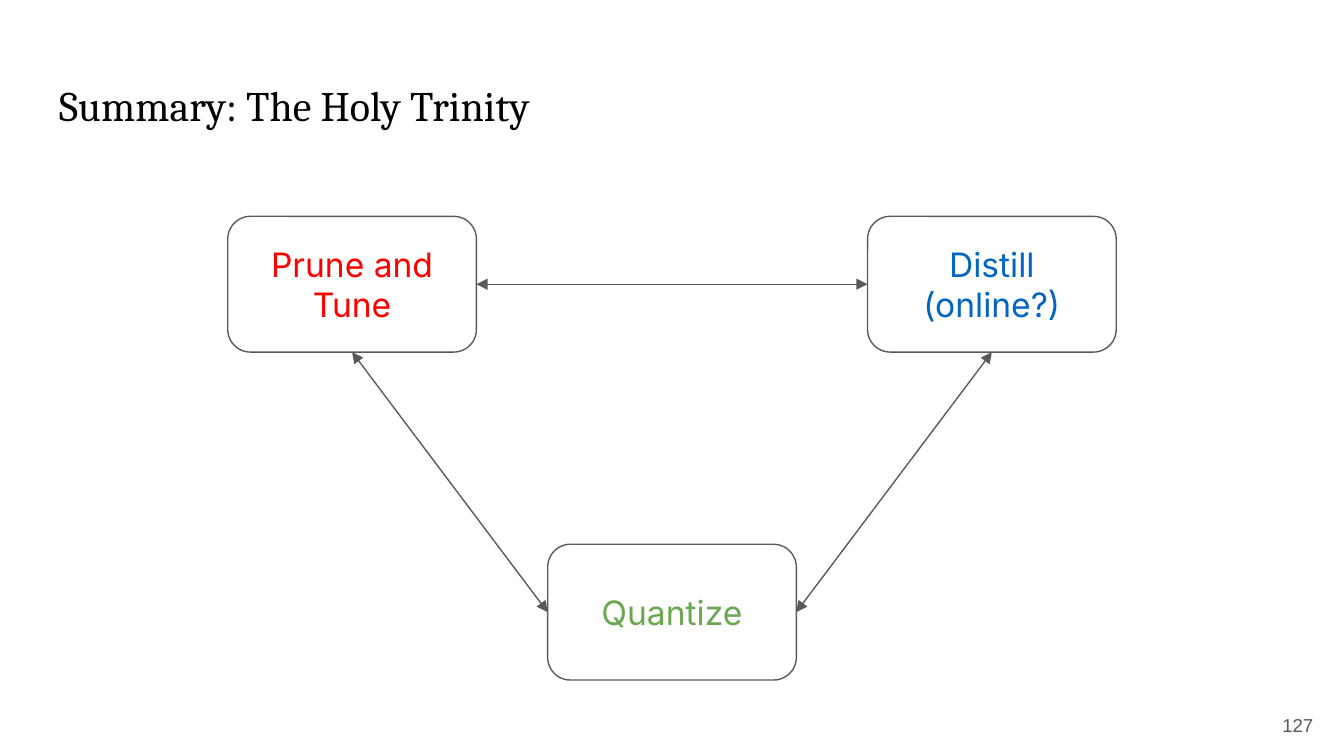
"""Build a slide showing three linked compression methods in a triangle."""
from pptx import Presentation
from pptx.dml.color import RGBColor
from pptx.enum.shapes import MSO_CONNECTOR as Link, MSO_SHAPE as Shape
from pptx.enum.text import MSO_ANCHOR as Anchor, MSO_AUTO_SIZE as Auto, PP_ALIGN as Align
from pptx.oxml.ns import qn
from pptx.util import Inches, Pt
from lxml.etree import SubElement

HUES = {"black": "000000", "white": "FFFFFF", "gray": "595959",
        "red": "FF0000", "green": "6AA84F", "blue": "0365C0"}
TITLE = "Summary: The Holy Trinity"
PAGE = "127"
NODES = {
    "prune": (["Prune and Tune"], "red", -1, 0),
    "quant": (["Quantize"], "green", 0, 1),
    "distill": (["Distill", "(online?)"], "blue", 1, 0),
}
TOP, LEFT, BOTTOM, RIGHT = range(4)
LINKS = [
    ("prune", BOTTOM, "quant", LEFT),
    ("prune", RIGHT, "distill", LEFT),
    ("distill", BOTTOM, "quant", RIGHT),
]
WIDE = 10
HIGH = WIDE * 9 / 16
BOX_W, BOX_H = 1.85, 1.01
STEP_X, STEP_Y, START_Y = 2.38, 2.44, 1.61


def color(name):
    return RGBColor.from_string(HUES[name])


def write(shape, lines, font, size, hue, align, anchor):
    frame = shape.text_frame
    frame.word_wrap = True
    frame.auto_size = Auto.NONE
    frame.vertical_anchor = anchor
    frame.margin_left = frame.margin_right = Inches(0.1)
    frame.margin_top = frame.margin_bottom = Inches(0.1)
    for i, line in enumerate(lines):
        para = frame.add_paragraph() if i else frame.paragraphs[0]
        para.alignment = align
        run = para.add_run()
        run.text = line
        run.font.name = font
        run.font.size = Pt(size)
        run.font.color.rgb = color(hue)


def outline(shape):
    shape.line.color.rgb = color("gray")
    shape.line.width = Pt(0.75)


def add_node(slide, lines, hue, col, row):
    x = (WIDE - BOX_W) / 2 + col * STEP_X
    y = START_Y + row * STEP_Y
    box = slide.shapes.add_shape(Shape.ROUNDED_RECTANGLE, Inches(x), Inches(y),
                                 Inches(BOX_W), Inches(BOX_H))
    box.shadow.inherit = False
    box.fill.solid()
    box.fill.fore_color.rgb = color("white")
    outline(box)
    write(box, lines, "Inter", 18, hue, Align.CENTER, Anchor.MIDDLE)
    return box


def add_link(slide, start, out, end, into):
    link = slide.shapes.add_connector(Link.STRAIGHT, 0, 0, 0, 0)
    link.begin_connect(start, out)
    link.end_connect(end, into)
    outline(link)
    for tag in ("a:headEnd", "a:tailEnd"):
        SubElement(link.line._ln, qn(tag), type="triangle")
    SubElement(link._element.spPr, qn("a:effectLst"))


def main():
    deck = Presentation()
    deck.slide_width, deck.slide_height = Inches(WIDE), Inches(HIGH)
    slide = deck.slides.add_slide(deck.slide_layouts[5])
    title = slide.shapes.title
    title.left, title.top = Inches(0.34), Inches(0.49)
    title.width, title.height = Inches(9.32), Inches(0.63)
    write(title, [TITLE], "Cambria", 22.5, "black", Align.LEFT, Anchor.TOP)
    boxes = {key: add_node(slide, *node) for key, node in NODES.items()}
    for start, out, end, into in LINKS:
        add_link(slide, boxes[start], out, boxes[end], into)
    page = slide.shapes.add_textbox(Inches(9.27), Inches(5.18), Inches(0.6), Inches(0.43))
    write(page, [PAGE], "Arial", 10, "gray", Align.RIGHT, Anchor.MIDDLE)
    deck.save("out.pptx")


if __name__ == "__main__":
    main()
